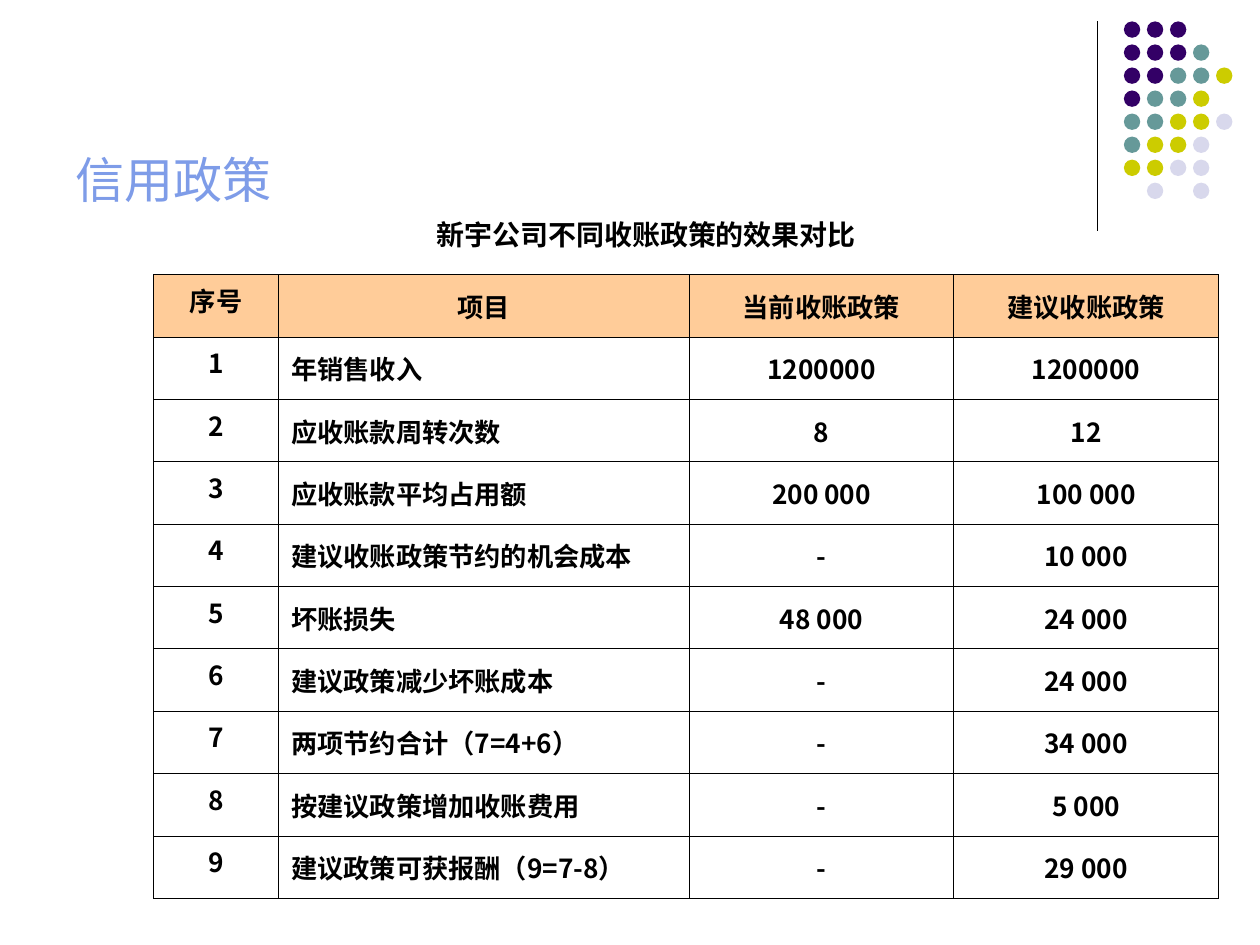
from dataclasses import dataclass

from lxml import etree
from pptx import Presentation
from pptx import util as u
from pptx.dml.color import RGBColor
from pptx.enum import shapes, text
from pptx.oxml.ns import qn


@dataclass(frozen=True)
class Theme:
    latin: str = "Arial"
    chinese: str = "Noto Sans CJK SC"
    title: str = "7E9CE8"
    ink: str = "000000"
    header: str = "FFCC99"
    paper: str = "FFFFFF"
    purple: str = "330066"
    teal: str = "669999"
    yellow: str = "CCCC00"
    lavender: str = "D8D8EC"
    title_size: float = 28
    caption_size: float = 16
    table_size: float = 15
    rule_width: float = 0.75
    border_width: float = 0.45


class SlideBuilder:
    def __init__(self, slide, theme):
        self.slide = slide
        self.theme = theme

    def run(self, paragraph, words, size, color, latin, bold=False):
        run = paragraph.add_run()
        run.text = words
        font = run.font
        font.size = u.Pt(size)
        font.bold = bold
        font.name = latin
        font.color.rgb = RGBColor.from_string(color)
        east_asian = etree.Element(qn("a:ea"), typeface=self.theme.chinese)
        font._element.find(qn("a:latin")).addnext(east_asian)

    def text_box(self, words, left, top, width, height, size, color, bold=False, wrap=True):
        shape = self.slide.shapes.add_textbox(
            u.Inches(left), u.Inches(top), u.Inches(width), u.Inches(height))
        frame = shape.text_frame
        frame.word_wrap = wrap
        frame.vertical_anchor = text.MSO_ANCHOR.BOTTOM
        self.run(frame.paragraphs[0], words, size, color, self.theme.latin, bold)

    def vertical_rule(self, x, top, bottom):
        line = self.slide.shapes.add_connector(
            shapes.MSO_CONNECTOR.STRAIGHT,
            u.Inches(x), u.Inches(top), u.Inches(x), u.Inches(bottom))
        line.line.color.rgb = RGBColor.from_string(self.theme.ink)
        line.line.width = u.Pt(self.theme.rule_width)
        etree.SubElement(line._element.spPr, qn("a:effectLst"))

    def dot(self, left, top, size, color):
        shape = self.slide.shapes.add_shape(
            shapes.MSO_SHAPE.OVAL,
            u.Inches(left), u.Inches(top), u.Inches(size), u.Inches(size))
        shape.shadow.inherit = False
        shape.fill.solid()
        shape.fill.fore_color.rgb = RGBColor.from_string(color)
        shape.line.fill.background()

    def dot_grid(self, pattern, left, top, pitch, size):
        colors = {"P": self.theme.purple, "T": self.theme.teal,
                  "Y": self.theme.yellow, "L": self.theme.lavender}
        for row, line in enumerate(pattern):
            for column, key in enumerate(line):
                if key in colors:
                    self.dot(left + column * pitch, top + row * pitch, size, colors[key])

    def cell_borders(self, cell):
        properties = cell._tc.get_or_add_tcPr()
        for side in ("lnL", "lnR", "lnT", "lnB"):
            line = etree.SubElement(properties, qn(f"a:{side}"),
                                    w=str(u.Pt(self.theme.border_width)))
            fill = etree.SubElement(line, qn("a:solidFill"))
            etree.SubElement(fill, qn("a:srgbClr"), val=self.theme.ink)

    def table(self, rows, left, top, widths, row_height):
        table = self.slide.shapes.add_table(
            len(rows), len(widths), u.Inches(left), u.Inches(top),
            u.Inches(sum(widths)), u.Inches(row_height * len(rows))).table
        table.horz_banding = False
        for column, width in zip(table.columns, widths):
            column.width = u.Inches(width)
        for row_index, values in enumerate(rows):
            for column_index, words in enumerate(values):
                cell = table.cell(row_index, column_index)
                is_header = row_index == 0
                self.cell_borders(cell)
                cell.fill.solid()
                cell.fill.fore_color.rgb = RGBColor.from_string(
                    self.theme.header if is_header else self.theme.paper)
                cell.vertical_anchor = (text.MSO_ANCHOR.TOP if column_index == 0
                                        else text.MSO_ANCHOR.MIDDLE)
                paragraph = cell.text_frame.paragraphs[0]
                paragraph.alignment = (text.PP_ALIGN.LEFT if column_index == 1 and not is_header
                                       else text.PP_ALIGN.CENTER)
                self.run(paragraph, words, self.theme.table_size, self.theme.ink,
                         self.theme.chinese, bold=True)


DOT_PATTERN = ("PPP", "PPPT", "PPTTY", "PTTY", "TTYYL", "TYYL", "YYLL", " L L")

HEADER = ("序号", "项目", "当前收账政策", "建议收账政策")
ITEMS = (
    ("年销售收入", "1200000", "1200000"),
    ("应收账款周转次数", "8", "12"),
    ("应收账款平均占用额", "200 000", "100 000"),
    ("建议收账政策节约的机会成本", "-", "10 000"),
    ("坏账损失", "48 000", "24 000"),
    ("建议政策减少坏账成本", "-", "24 000"),
    ("两项节约合计（7=4+6）", "-", "34 000"),
    ("按建议政策增加收账费用", "-", "5 000"),
    ("建议政策可获报酬（9=7-8）", "-", "29 000"),
)


def main():
    presentation = Presentation()
    presentation.slide_width = u.Inches(10)
    presentation.slide_height = u.Inches(7.5)
    theme = Theme()
    builder = SlideBuilder(
        presentation.slides.add_slide(presentation.slide_layouts[6]), theme)

    builder.vertical_rule(8.71, 0.17, 1.83)
    builder.dot_grid(DOT_PATTERN, left=8.92, top=0.17, pitch=1.28 / 7, size=0.13)
    builder.text_box("信用政策", 0.5, 0.36, 8.25, 1.34, theme.title_size, theme.title)
    rows = [HEADER] + [(str(number), *item) for number, item in enumerate(ITEMS, 1)]
    builder.table(rows, left=1.22, top=2.18, widths=(0.99, 3.26, 2.1, 2.1),
                  row_height=4.95 / len(rows))
    builder.text_box("新宇公司不同收账政策的效果对比", 3.37, 1.54, 3.6, 0.5,
                     theme.caption_size, theme.ink, bold=True, wrap=False)
    presentation.save("out.pptx")


if __name__ == "__main__":
    main()
